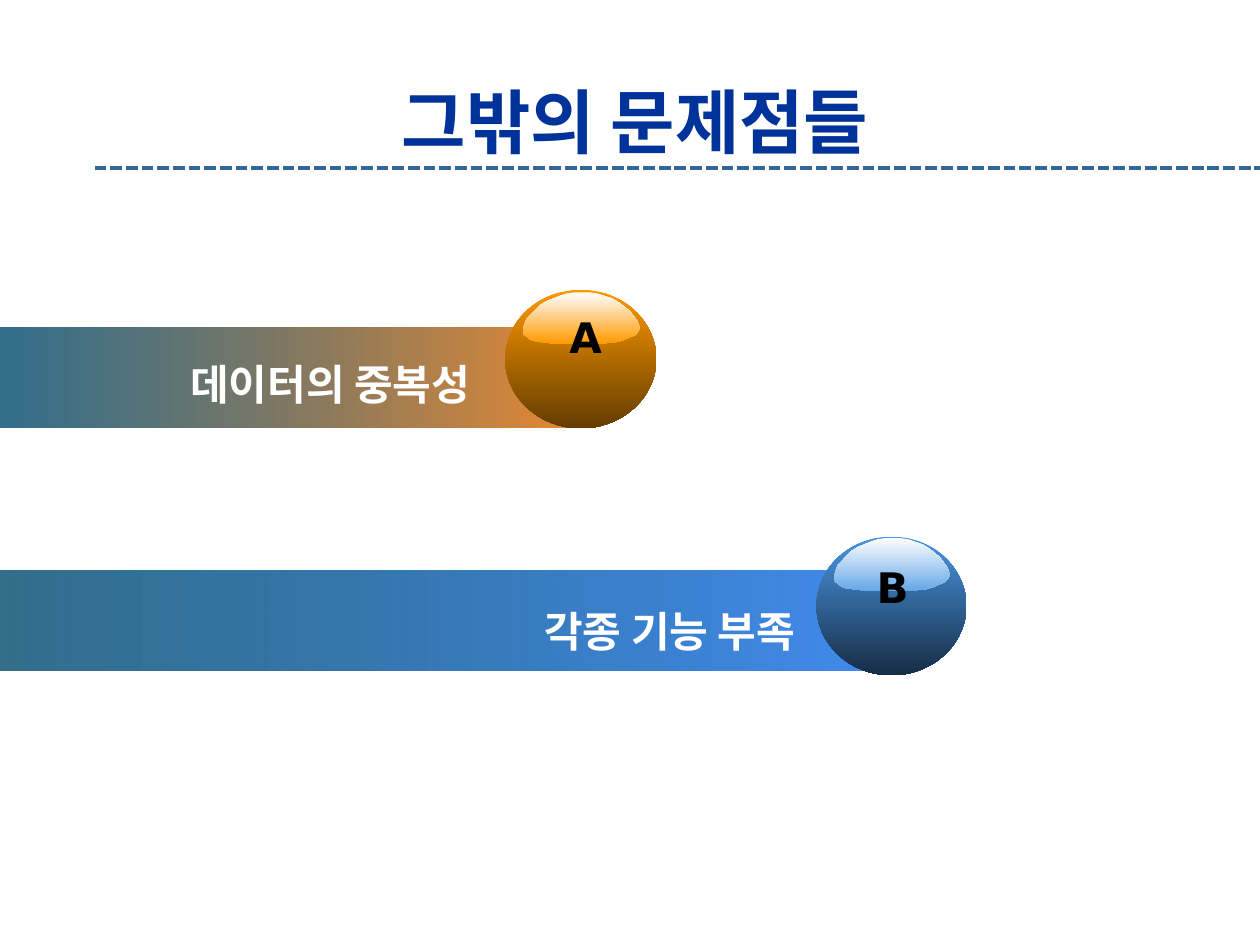
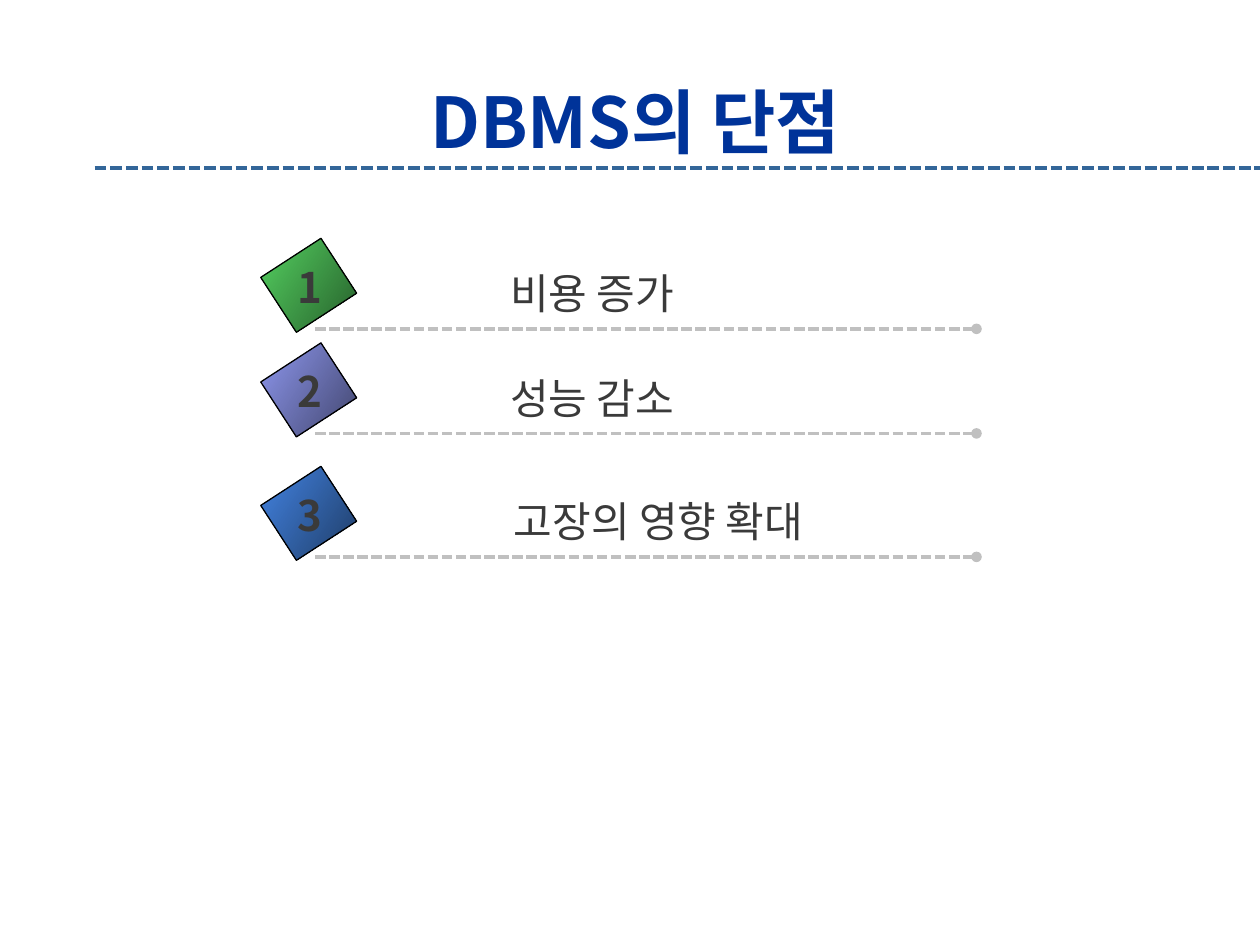
from dataclasses import dataclass
from typing import Any

from pptx import Presentation
from pptx.dml.color import RGBColor
from pptx.enum.dml import MSO_LINE
from pptx.enum.shapes import MSO_CONNECTOR, MSO_SHAPE
from pptx.enum.text import MSO_ANCHOR, MSO_AUTO_SIZE, PP_ALIGN
from pptx.oxml.ns import qn
from pptx.util import Inches, Pt
from lxml.etree import SubElement

COLUMNS, ROWS = 100, 75
KOREAN, LATIN = "Noto Sans CJK KR", "DejaVu Sans"
BLUE, RULE, GREY, INK = "003399", "336699", "C0C0C0", "3A3A3A"
WHITE, BLACK, TEAL = "FFFFFF", "000000", "004B70"
GLOSS_SIZE = 93, 41
GLOSS = [
    (91, 23), (92, 26), (93, 28), (92, 30), (91, 32), (89, 34), (87, 35),
    (84, 36), (80, 38), (76, 39), (72, 40), (68, 40), (63, 41), (33, 41),
    (24, 41), (20, 40), (16, 40), (13, 39), (10, 39), (7, 38), (5, 37),
    (3, 35), (1, 34), (0, 32), (0, 30), (1, 26), (3, 21), (7, 17), (10, 14),
    (14, 10), (19, 7), (24, 5), (29, 3), (35, 1), (41, 0), (53, 0), (59, 1),
    (65, 3), (71, 5), (76, 8), (80, 11), (85, 15), (88, 19),
]


def rgb(value):
    return RGBColor.from_string(value)


def apply(target, formats):
    for name, value in formats.items():
        setattr(target, name, value)


@dataclass
class Deck:
    prs: Any
    s: Any = None
    shapes: Any = None

    def box(self, x, y, w, h):
        cw, rh = self.prs.slide_width / COLUMNS, self.prs.slide_height / ROWS
        return [round(v) for v in (x * cw, y * rh, w * cw, h * rh)]

    def slide(self, title):
        self.s = self.prs.slides.add_slide(self.prs.slide_layouts[6])
        self.ungroup()
        self.line(7.5, 100, 13.3, RULE, 2.25)
        self.text(title, (7.5, 6.7, 85.8, 5.8), BLUE, size=40, bold=True,
                  align=PP_ALIGN.CENTER, anchor=MSO_ANCHOR.MIDDLE, fit=False)

    def group(self):
        self.shapes = self.s.shapes.add_group_shape().shapes

    def ungroup(self):
        self.shapes = self.s.shapes

    def line(self, x1, x2, y, color, width, dot=False):
        left, top, right, _ = self.box(x1, y, x2, 0)
        c = self.shapes.add_connector(MSO_CONNECTOR.STRAIGHT, left, top, right, top)
        apply(c.line, {"width": Pt(width), "dash_style": MSO_LINE.SQUARE_DOT})
        c.line.color.rgb = rgb(color)
        if dot:
            SubElement(c.line._get_or_add_ln(), qn("a:tailEnd"), type="oval")
        SubElement(c._element.spPr, qn("a:effectLst"))

    def paint(self, sp, colors, angle, alpha=None, outline=None):
        sp.shadow.inherit = False
        sp.fill.gradient()
        sp.fill.gradient_angle = -angle % 360
        for stop, color in zip(sp.fill.gradient_stops, colors):
            stop.color.rgb = rgb(color)
        grad = sp._element.spPr.find(qn("a:gradFill"))
        grad.set("rotWithShape", "0")
        if alpha:
            first = next(grad.iter(qn("a:srgbClr")))
            SubElement(first, qn("a:alpha"), val=str(alpha * 1000))
        if outline:
            sp.line.color.rgb = rgb(outline)
            sp.line.width = Pt(0.75)
        else:
            sp.line.fill.background()

    def shape(self, kind, area, colors, angle, rotation=0, **style):
        sp = self.shapes.add_shape(kind, *self.box(*area))
        sp.rotation = rotation
        self.paint(sp, colors, angle, **style)

    def gloss(self, area, color):
        x, y, w, h = self.box(*area)
        gw, gh = GLOSS_SIZE
        points = [(round(x + w * px / gw), round(y + h * py / gh)) for px, py in GLOSS]
        fb = self.shapes.build_freeform(*points[0])
        fb.add_line_segments(points[1:], close=True)
        self.paint(fb.convert_to_shape(), (WHITE, color), 90)

    def text(self, words, area, color, size=24, bold=False, font=KOREAN,
             align=PP_ALIGN.LEFT, anchor=MSO_ANCHOR.TOP, wrap=True, fit=True):
        tf = self.shapes.add_textbox(*self.box(*area)).text_frame
        auto = MSO_AUTO_SIZE.SHAPE_TO_FIT_TEXT if fit else MSO_AUTO_SIZE.NONE
        apply(tf, {"word_wrap": wrap, "auto_size": auto, "vertical_anchor": anchor})
        p = tf.paragraphs[0]
        p.alignment = align
        r = p.add_run()
        r.text = words
        apply(r.font, {"size": Pt(size), "bold": bold, "name": font})
        r.font.color.rgb = rgb(color)
        SubElement(r._r.get_or_add_rPr(), qn("a:ea"), typeface=font)

    def problem(self, letter, words, bar, ball, gloss, mark, label, end, dark, shine):
        self.ungroup()
        self.shape(MSO_SHAPE.RECTANGLE, bar, (TEAL, end), 0, alpha=80)
        self.group()
        self.shape(MSO_SHAPE.OVAL, ball, dark, 90)
        self.gloss(gloss, shine)
        self.text(letter, mark, BLACK, bold=True, font=LATIN, wrap=False)
        self.ungroup()
        self.text(words, label, WHITE, bold=True, align=PP_ALIGN.RIGHT)

    def drawback(self, number, words, y, x, w, colors):
        self.group()
        self.line(25, 77.5, y, GREY, 2, dot=True)
        self.shape(MSO_SHAPE.RECTANGLE, (21.9, y - 6.3, 5.2, 5.7), colors, 33,
                   rotation=57, outline=BLACK)
        self.text(words, (x, y - 5.35, w, 5), INK, wrap=False)
        self.text(str(number), (22.6, y - 5.85, 3.8, 5), INK, bold=True, wrap=False)


prs = Presentation()
apply(prs, {"slide_width": Inches(10), "slide_height": Inches(7.5)})
deck = Deck(prs)

deck.slide("그밖의 문제점들")
deck.problem("A", "데이터의 중복성", (0, 26, 46.2, 7.9), (40.1, 23, 12, 11),
             (41.5, 23.2, 9.3, 4.1), (44.2, 24.2, 4.3, 5), (3.9, 28, 34.4, 5),
             "E98931", ("FF9900", "643C00"), "FF9900")
deck.problem("B", "각종 기능 부족", (0, 45.3, 68.8, 7.9), (64.8, 42.6, 11.9, 11),
             (66.2, 42.7, 9.2, 4.2), (68.6, 44.1, 4.2, 5), (29.7, 47.6, 34.4, 5),
             "418AEB", ("4996E3", "162D45"), "66A7E8")

deck.slide("DBMS의 단점")
drawbacks = [
    ("비용 증가", 26.1, 39.5, 15.9, ("54D060", "27602C")),
    ("성능 감소", 34.4, 39.5, 15.9, ("8E97EE", "42466E")),
    ("고장의 영향 확대", 44.2, 39.8, 26.6, ("4383E1", "1F3D68")),
]
for number, row in enumerate(drawbacks, 1):
    deck.drawback(number, *row)

prs.save("out.pptx")
